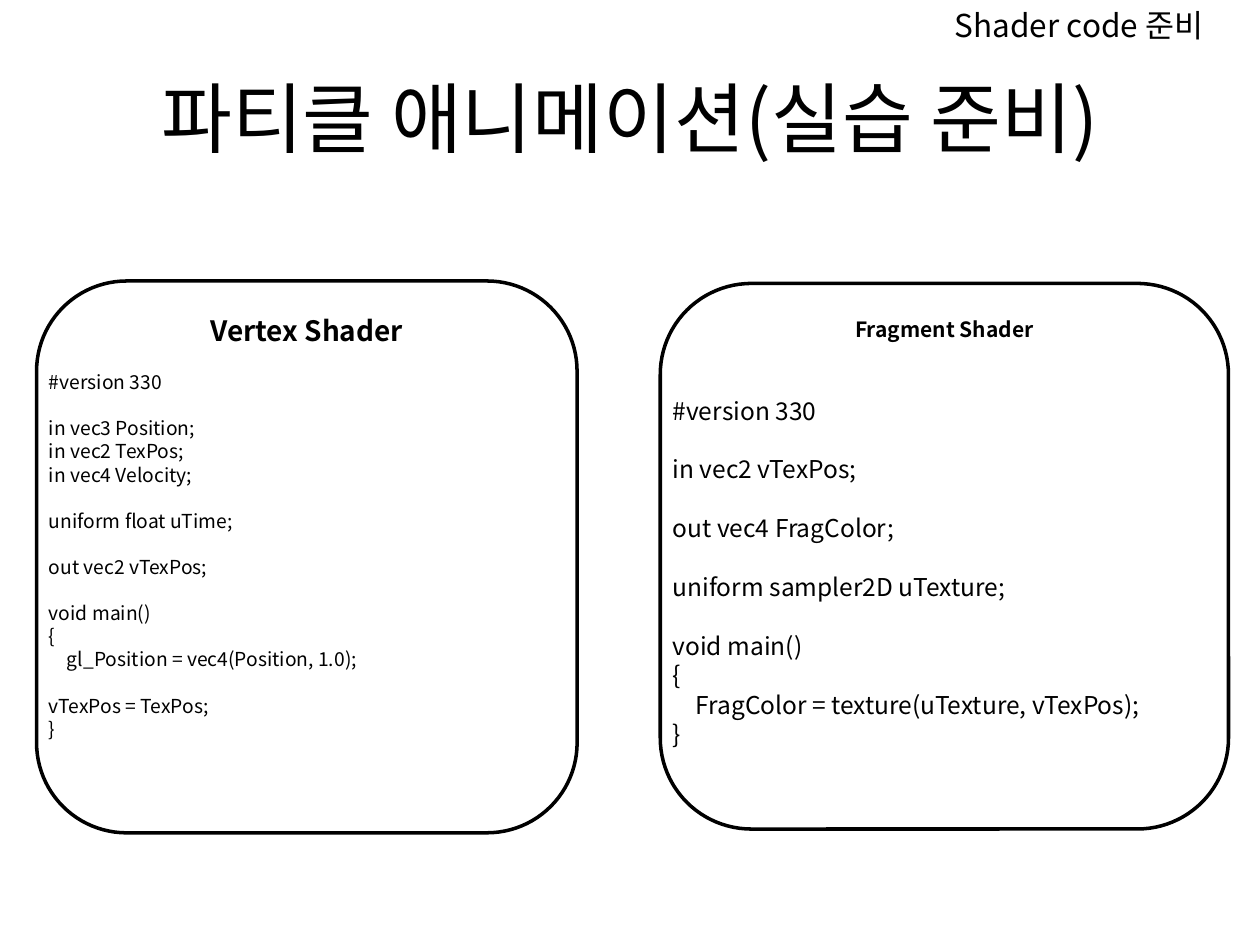
"""Build the slide that lists the vertex and fragment shader code."""
from lxml import etree
from pptx import Presentation
from pptx.dml.color import RGBColor
from pptx.enum.shapes import MSO_SHAPE
from pptx.enum.text import MSO_ANCHOR, MSO_AUTO_SIZE, PP_ALIGN
from pptx.oxml.ns import qn
from pptx.util import Inches, Pt

ROUNDED = MSO_SHAPE.ROUNDED_RECTANGLE
TOP, MIDDLE = MSO_ANCHOR.TOP, MSO_ANCHOR.MIDDLE
LEFT, CENTER = PP_ALIGN.LEFT, PP_ALIGN.CENTER
NO_AUTOFIT = MSO_AUTO_SIZE.NONE
BLACK = RGBColor(0, 0, 0)
WHITE = RGBColor(255, 255, 255)
FONT = "Noto Sans CJK KR"
LINE_FACTOR = 1.2
INDENT_PER_POINT = 0.013

TITLE = "파티클 애니메이션(실습 준비)"
CAPTION = "Shader code 준비"
PANELS = [
    {
        "heading": "Fragment Shader", "heading_size": 12, "code_size": 14,
        "frame": (5.24, 2.25, 4.51, 4.33), "code_box": (5.24, 3.09, 4.51, 3),
        "blocks": [
            ["#version 330"],
            ["in vec2 vTexPos;"],
            ["out vec4 FragColor;"],
            ["uniform sampler2D uTexture;"],
            ["void main()", "{", "\tFragColor = texture(uTexture, vTexPos);", "}"],
        ],
    },
    {
        "heading": "Vertex Shader", "heading_size": 16, "code_size": 11,
        "frame": (0.29, 2.23, 4.29, 4.38), "code_box": (0.29, 2.89, 4.29, 3.06),
        "blocks": [
            ["#version 330"],
            ["in vec3 Position;", "in vec2 TexPos;", "in vec4 Velocity;"],
            ["uniform float uTime;"],
            ["out vec2 vTexPos;"],
            ["void main()", "{", "\tgl_Position = vec4(Position, 1.0);"],
            ["vTexPos = TexPos;", "}"],
        ],
    },
]


def inches(values):
    return [Inches(value) for value in values]


def apply(target, **values):
    for name, value in values.items():
        setattr(target, name, value)


def write(shape, blocks, size, align=LEFT, anchor=TOP, bold=False):
    """Write blocks of lines, one blank line apart; a leading tab indents."""
    frame = shape.text_frame
    apply(frame, word_wrap=True, auto_size=NO_AUTOFIT, vertical_anchor=anchor)
    line_height = Pt(size * LINE_FACTOR)
    for block_index, block in enumerate(blocks):
        for line_index, line in enumerate(block):
            first = block_index == line_index == 0
            para = frame.paragraphs[0] if first else frame.add_paragraph()
            gap = line_height if block_index and not line_index else Pt(0)
            apply(para, alignment=align, line_spacing=line_height, space_before=gap)
            if line.startswith("\t"):
                indent = Inches(size * INDENT_PER_POINT)
                para._p.get_or_add_pPr().set("marL", str(indent))
            span = para.add_run()
            span.text = line.lstrip("\t")
            apply(span.font, name=FONT, size=Pt(size), bold=bold)
            span.font.color.rgb = BLACK
            east_asian = etree.SubElement(span._r.get_or_add_rPr(), qn("a:ea"))
            east_asian.set("typeface", FONT)


def add_panel(page, panel):
    frame = page.shapes.add_shape(ROUNDED, *inches(panel["frame"]))
    frame.shadow.inherit = False
    frame.fill.solid()
    frame.fill.fore_color.rgb = WHITE
    frame.line.color.rgb = BLACK
    frame.line.width = Pt(2)
    write(frame, [[panel["heading"]]], panel["heading_size"], CENTER, bold=True)
    code = page.shapes.add_textbox(*inches(panel["code_box"]))
    write(code, panel["blocks"], panel["code_size"])


def main():
    deck = Presentation()
    apply(deck, slide_width=Inches(10), slide_height=Inches(7.5))
    page = deck.slides.add_slide(deck.slide_layouts[5])
    title = page.shapes.title
    left, top, width, height = inches((0.5, 0.3, 9, 1.25))
    apply(title, left=left, top=top, width=width, height=height)
    write(title, [[TITLE]], 44, CENTER, MIDDLE)
    for panel in PANELS:
        add_panel(page, panel)
    caption = page.shapes.add_textbox(*inches((7.48, 0, 2.52, 0.4)))
    write(caption, [[CAPTION]], 18)
    deck.save("out.pptx")


if __name__ == "__main__":
    main()
